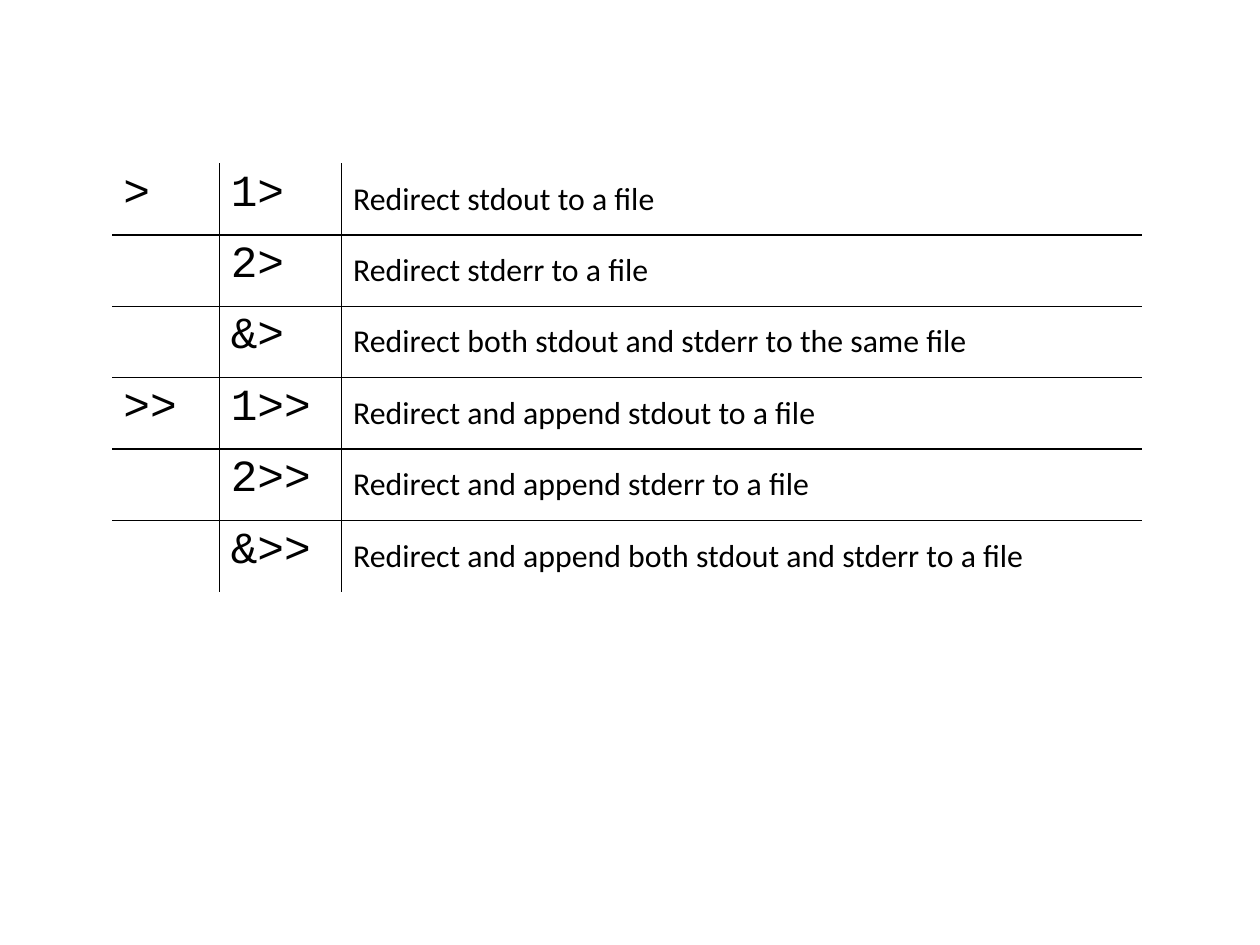
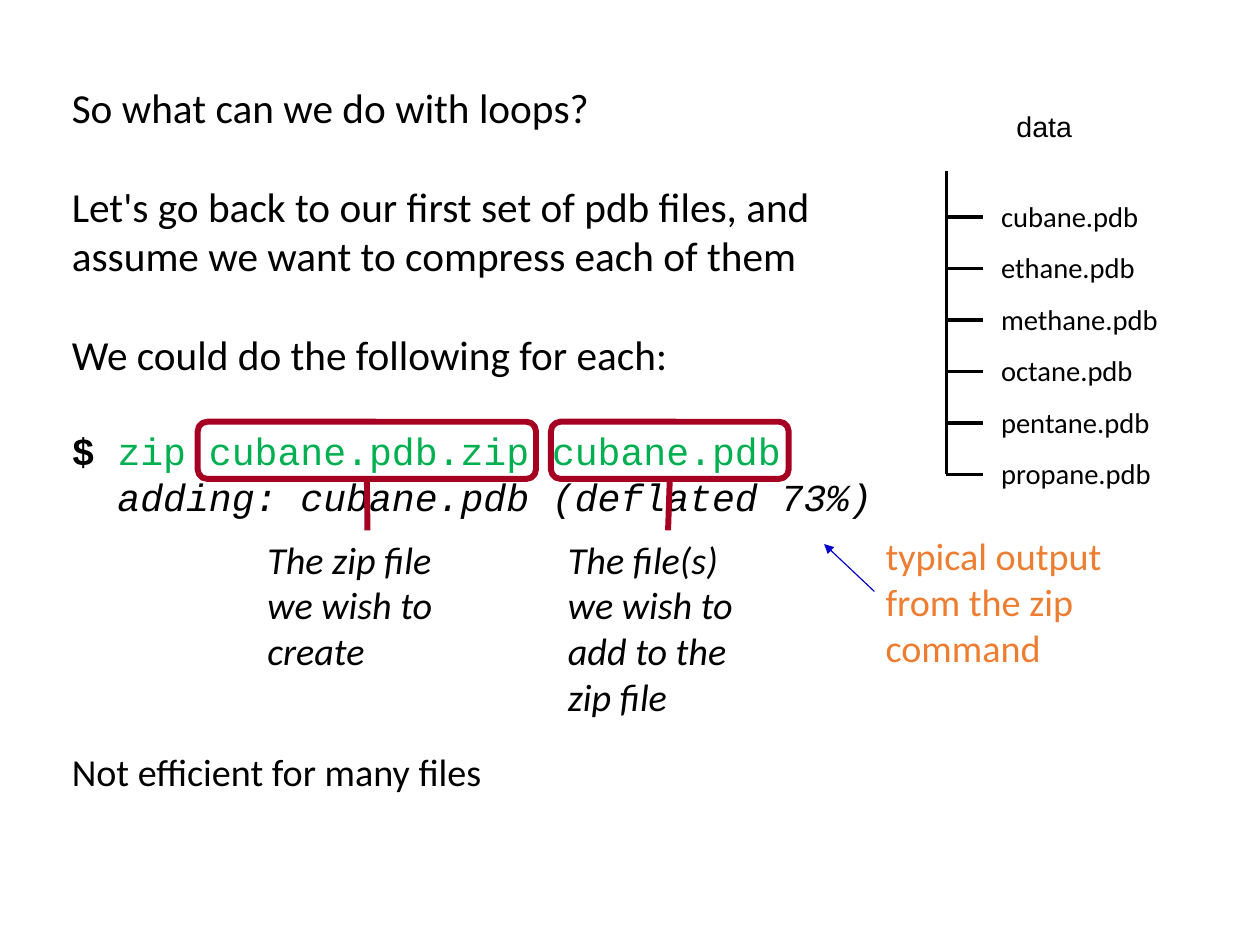
from lxml import etree
from pptx import Presentation, util as u
from pptx.dml.color import RGBColor
from pptx.enum import shapes, text
from pptx.oxml.ns import qn

HUE = {"ink": "000000", "code": "00B050", "frame": "A50021",
       "note": "ED7D31", "arrow": "0000CC"}
SANS, MONO, LABEL = "Calibri", "Courier New", "Arial"

COLS = [0.94, 1.07, 7.0]
ROW = 0.625
REDIRECTS = [
    (">", "1>", "Redirect stdout to a file"),
    ("", "2>", "Redirect stderr to a file"),
    ("", "&>", "Redirect both stdout and stderr to the same file"),
    (">>", "1>>", "Redirect and append stdout to a file"),
    ("", "2>>", "Redirect and append stderr to a file"),
    ("", "&>>", "Redirect and append both stdout and stderr to a file"),
]

FILES = ["cubane.pdb", "ethane.pdb", "methane.pdb",
         "octane.pdb", "pentane.pdb", "propane.pdb"]
TRUNK, TOP, FIRST, STEP, TWIG = 8.28, 1.5, 1.9, 0.45, 0.32

BIG = {"size": 26}
CODE = {"font": MONO}
# Each paragraph: space before in points, then runs of (text, format)
BODY = [
    (0, [("So what can we do with loops?", BIG)]),
    (31, [("Let's go back to our first set of pdb files, and "
           "assume we want to compress each of them", BIG)]),
    (31, [("We could do the following for each:", BIG)]),
    (31, [("$", {**CODE, "bold": True}),
          (" zip cubane.pdb.zip cubane.pdb", {**CODE, "hue": "code"})]),
    (0, [("  ", CODE),
         ("adding: cubane.pdb (deflated 73%)", {**CODE, "italic": True})]),
    (144, [("Not efficient for many files", {})]),
]
# Frame left and width, label left and height, label text
CALLS = [
    (4.82, 2.08, 4.87, 1.72, "The file(s) we wish to add to the zip file"),
    (1.73, 2.96, 2.24, 1.31, "The zip file we wish to create"),
]


def inch(*vals):
    return [u.Inches(v) for v in vals]


def paint(hue):
    return RGBColor.from_string(HUE[hue])


def add_run(par, words, size=24, font=SANS, hue="ink", bold=False, italic=False):
    run = par.add_run()
    run.text = words
    face = run.font
    face.size, face.name = u.Pt(size), font
    face.bold, face.italic = bold, italic
    face.color.rgb = paint(hue)


def write(frame, pars, lead=1.0, align=text.PP_ALIGN.LEFT, **form):
    """Fill a text frame; a paragraph is a string or (space before, runs)."""
    for i, item in enumerate(pars):
        par = frame.paragraphs[0] if i == 0 else frame.add_paragraph()
        gap, runs = (0, [(item, {})]) if isinstance(item, str) else item
        par.alignment, par.line_spacing = align, lead
        if gap:
            par.space_before = u.Pt(gap)
        for words, own in runs:
            add_run(par, words, **{**form, **own})


def add_text(slide, at, pars, wrap=True, **form):
    box = slide.shapes.add_textbox(*inch(*at))
    box.text_frame.word_wrap = wrap
    write(box.text_frame, pars, **form)
    return box


def add_line(slide, start, end, hue="ink", width=2.25):
    line = slide.shapes.add_connector(
        shapes.MSO_CONNECTOR.STRAIGHT, *inch(*start, *end))
    line.line.color.rgb = paint(hue)
    line.line.width = u.Pt(width)
    etree.SubElement(line._element.spPr, qn("a:effectLst"))
    return line


def add_edge(cell, side, shown):
    props = cell._tc.get_or_add_tcPr()
    edge = etree.SubElement(props, qn("a:ln" + side), w=str(u.Pt(1)))
    if shown:
        fill = etree.SubElement(edge, qn("a:solidFill"))
        etree.SubElement(fill, qn("a:srgbClr"), val=HUE["ink"])
    else:
        etree.SubElement(edge, qn("a:noFill"))


def draw_table(slide):
    high, wide = len(REDIRECTS), len(COLS)
    table = slide.shapes.add_table(
        high, wide, *inch(0.98, 1.43, sum(COLS), ROW * high)).table
    table.first_row = table.horz_banding = False
    for col, width in zip(table.columns, COLS):
        col.width = u.Inches(width)
    for r, entry in enumerate(REDIRECTS):
        table.rows[r].height = u.Inches(ROW)
        for c, words in enumerate(entry):
            cell = table.cell(r, c)
            inner = {"L": c > 0, "R": c < wide - 1, "T": r > 0, "B": r < high - 1}
            for side, shown in inner.items():
                add_edge(cell, side, shown)
            cell.fill.background()
            last = c == wide - 1
            if last:
                cell.vertical_anchor = text.MSO_ANCHOR.MIDDLE
            if words:
                write(cell.text_frame, [words], lead=0.93,
                      size=20 if last else 28, font=SANS if last else MONO)


def draw_tree(slide):
    add_text(slide, (8.66, 1.54, 1.59, 2.83), FILES, wrap=False, lead=1.5, size=18)
    ticks = [FIRST + STEP * i for i in range(len(FILES))]
    add_line(slide, (TRUNK, TOP), (TRUNK, ticks[-1]))
    for y in ticks:
        add_line(slide, (TRUNK, y), (TRUNK + TWIG, y))
    add_text(slide, (8.79, 0.93, 0.69, 0.38), ["data"], wrap=False, lead=0.93,
             align=text.PP_ALIGN.CENTER, size=18, font=LABEL)


def draw_call(slide, left, width, label_left, high, words):
    frame = slide.shapes.add_shape(
        shapes.MSO_SHAPE.ROUNDED_RECTANGLE, *inch(left, 3.69, width, 0.5))
    frame.shadow.inherit = False
    frame.fill.background()
    frame.line.color.rgb = paint("frame")
    frame.line.width = u.Pt(3.75)
    label = add_text(slide, (label_left, 4.64, 1.95, high), [words], italic=True)
    stem = add_line(slide, (left, 4.19), (left, 4.64), "frame", 3.75)
    stem.begin_connect(frame, 2)
    stem.end_connect(label, 0)


def draw_note(slide):
    note = add_text(slide, (7.65, 4.61, 2.54, 1.13),
                    ["typical output from the zip command"], hue="note")
    arrow = add_line(slide, (7.65, 5.17), (7.21, 4.76), "arrow", 0.75)
    arrow.begin_connect(note, 1)
    etree.SubElement(arrow.line._get_or_add_ln(), qn("a:tailEnd"), type="triangle")


def main():
    deck = Presentation()
    deck.slide_width, deck.slide_height = u.Cm(28), u.Cm(21)
    blank = deck.slide_layouts[6]
    draw_table(deck.slides.add_slide(blank))
    loops = deck.slides.add_slide(blank)
    draw_tree(loops)
    add_text(loops, (0.53, 0.67, 7.56, 6.4), BODY)
    for call in CALLS:
        draw_call(loops, *call)
    draw_note(loops)
    deck.save("out.pptx")


if __name__ == "__main__":
    main()
